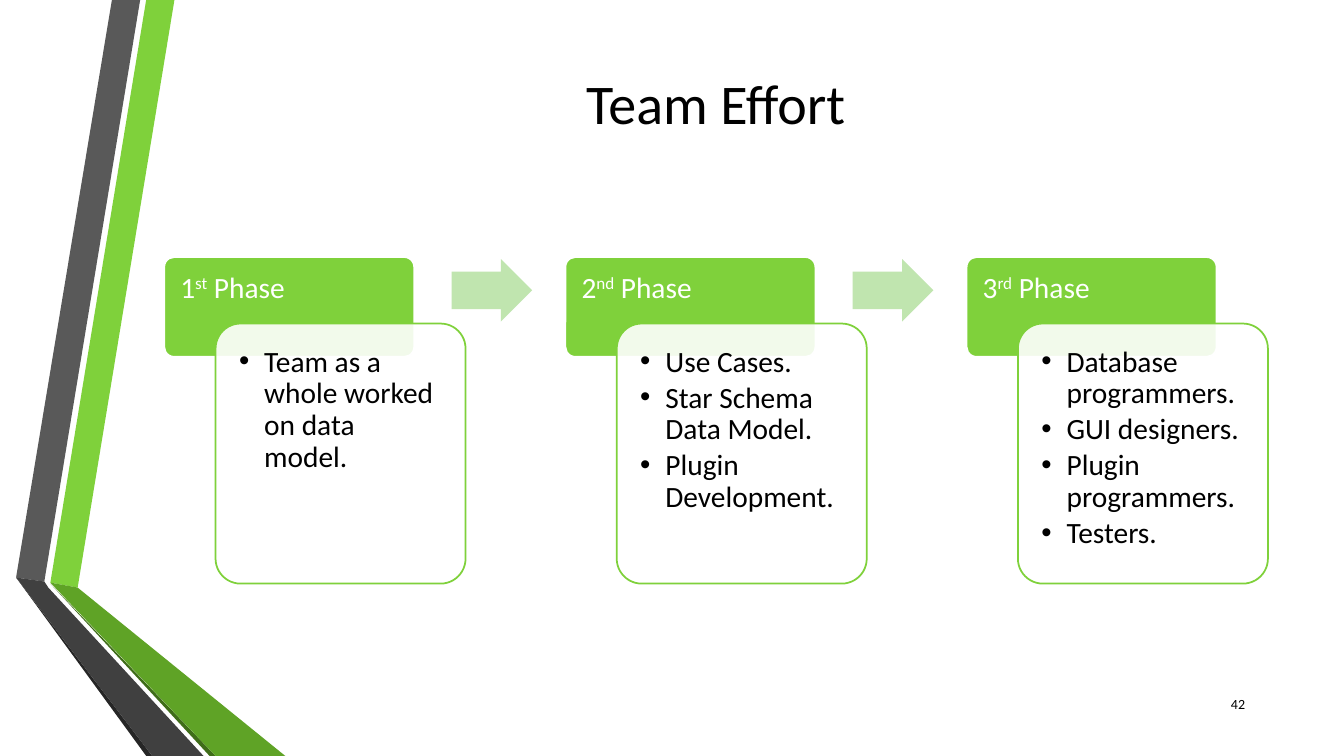
from dataclasses import dataclass

from lxml import etree
from pptx import Presentation
from pptx import util as u
from pptx.dml.color import RGBColor
from pptx.enum import shapes, text
from pptx.oxml import ns

WIDTH, HEIGHT = u.Inches(13.333), u.Inches(7.5)
FONT = "Calibri"
GREEN, PALE_GREEN, WHITE, BLACK = "7FD13B", "C0E5AF", "FFFFFF", "000000"
FIRST_PHASE, PHASE_STEP = 12.22, 29.85
PHASE_WIDTH = 18.6


@dataclass(frozen=True)
class Area:
    """A rectangle in percent of the slide's width and height."""
    left: float
    top: float
    width: float
    height: float

    def emu(self) -> tuple[int, int, int, int]:
        return (across(self.left), down(self.top),
                across(self.width), down(self.height))


@dataclass(frozen=True)
class Ribbon:
    colour: str
    points: tuple[tuple[float, float], ...]


@dataclass(frozen=True)
class Phase:
    number: str
    ordinal: str
    tasks: tuple[str, ...]


RIBBONS = (
    Ribbon(GREEN, ((3.75, 77.07), (5.78, 77.73), (12.98, 0), (10.88, 0))),
    Ribbon("595959", ((10.43, 0), (8.33, 0), (1.2, 76.4), (3.3, 76.93))),
    Ribbon("262626", ((1.2, 76.4), (10.88, 100), (11.33, 100))),
    Ribbon("3F6D19", ((3.75, 77.2), (15.6, 100), (16.05, 100))),
    Ribbon("5FA326", ((3.75, 77.07), (16.05, 100), (21.23, 100), (5.78, 77.73))),
    Ribbon("404040", ((15.15, 100), (3.6, 77.73), (3.3, 76.93), (1.2, 76.4),
                      (11.33, 100))),
)

PHASES = (
    Phase("1", "st", ("Team as a whole worked on data model.",)),
    Phase("2", "nd", ("Use Cases.", "Star Schema Data Model.",
                      "Plugin Development.")),
    Phase("3", "rd", ("Database programmers.", "GUI designers.",
                      "Plugin programmers.", "Testers.")),
)


def across(percent: float) -> int:
    return round(WIDTH * percent / 100)


def down(percent: float) -> int:
    return round(HEIGHT * percent / 100)


def colour(value: str) -> RGBColor:
    return RGBColor.from_string(value)


def paint(shape, fill: str, line: str | None = None) -> None:
    shape.shadow.inherit = False
    shape.fill.solid()
    shape.fill.fore_color.rgb = colour(fill)
    if line:
        shape.line.color.rgb = colour(line)
        shape.line.width = u.Pt(1.25)
    else:
        shape.line.fill.background()


def style_para(para, size: float, ink: str) -> None:
    for span in para.runs:
        span.font.name = FONT
        span.font.size = u.Pt(size)
        span.font.color.rgb = colour(ink)


def add_ribbon(page, ribbon: Ribbon) -> None:
    points = [(across(x), down(y)) for x, y in ribbon.points]
    builder = page.shapes.build_freeform(*points[0], scale=1.0)
    builder.add_line_segments(points[1:], close=True)
    paint(builder.convert_to_shape(), ribbon.colour)


def add_preset(page, kind: shapes.MSO_SHAPE, area: Area,
               adjustments: tuple[float, ...], fill: str,
               line: str | None = None):
    shape = page.shapes.add_shape(kind, *area.emu())
    for index, value in enumerate(adjustments):
        shape.adjustments[index] = value
    paint(shape, fill, line)
    return shape


def add_text_box(page, area: Area, inset: float = 0.1, bottom: float = 0.05):
    """Insets are in inches; the top one equals the sides except by default."""
    frame = page.shapes.add_textbox(*area.emu()).text_frame
    frame.word_wrap = True
    frame.margin_left = frame.margin_right = u.Inches(inset)
    frame.margin_top = u.Inches(inset if inset > 0.1 else 0.05)
    frame.margin_bottom = u.Inches(bottom)
    return frame


def make_translucent(shape, opacity: int) -> None:
    fill = shape.fill._xPr.find(ns.qn("a:solidFill"))
    etree.SubElement(fill[0], ns.qn("a:alpha"), val=str(opacity * 1000))


def add_bullet(para) -> None:
    settings = para._p.get_or_add_pPr()
    settings.set("marL", str(u.Inches(0.25)))
    settings.set("indent", str(-u.Inches(0.25)))
    etree.SubElement(settings, ns.qn("a:buFont"), typeface="Arial")
    etree.SubElement(settings, ns.qn("a:buChar"), char="•")


def add_heading(page, left: float, phase: Phase) -> None:
    add_preset(page, shapes.MSO_SHAPE.ROUNDED_RECTANGLE,
               Area(left, 34, PHASE_WIDTH, 13.2), (0.1,), GREEN, WHITE)
    frame = add_text_box(page, Area(left, 34, PHASE_WIDTH, 8.8), 0.16, 0.09)
    para = frame.paragraphs[0]
    para.line_spacing = 0.9
    para.space_after = u.Pt(7)
    for words in (phase.number, phase.ordinal, " Phase"):
        para.add_run().text = words
    style_para(para, 21, WHITE)
    para.runs[1]._r.get_or_add_rPr().set("baseline", "30000")


def add_card(page, left: float, phase: Phase) -> None:
    card = add_preset(page, shapes.MSO_SHAPE.ROUNDED_RECTANGLE,
                      Area(left, 42.8, PHASE_WIDTH, 34.4), (0.1,), WHITE, GREEN)
    make_translucent(card, 90)
    frame = add_text_box(page, Area(left + 0.55, 43.73, 17.48, 32.4), 0.16, 0.16)
    frame.text = "\n".join(phase.tasks)
    for para in frame.paragraphs:
        para.line_spacing = 0.9
        para.space_after = u.Pt(3)
        add_bullet(para)
        style_para(para, 21, BLACK)


def add_title(page) -> None:
    title = page.shapes.title
    title.left, title.top, title.width, title.height = Area(
        12.15, 7.33, 82.2, 12.27).emu()
    frame = title.text_frame
    frame.text = "Team Effort"
    frame.vertical_anchor = text.MSO_ANCHOR.MIDDLE
    frame.paragraphs[0].alignment = text.PP_ALIGN.CENTER
    style_para(frame.paragraphs[0], 40, BLACK)


def add_page_number(page) -> None:
    frame = add_text_box(page, Area(88.88, 90.4, 4.5, 5.33))
    frame.text = "42"
    frame.vertical_anchor = text.MSO_ANCHOR.MIDDLE
    frame.paragraphs[0].alignment = text.PP_ALIGN.RIGHT
    style_para(frame.paragraphs[0], 10, BLACK)


def main() -> None:
    deck = Presentation()
    deck.slide_width, deck.slide_height = WIDTH, HEIGHT
    page = deck.slides.add_slide(deck.slide_layouts.get_by_name("Title Only"))
    for ribbon in RIBBONS:
        add_ribbon(page, ribbon)
    add_title(page)
    for index, phase in enumerate(PHASES):
        left = FIRST_PHASE + index * PHASE_STEP
        add_heading(page, left, phase)
        add_card(page, left + 3.82, phase)
        if index < len(PHASES) - 1:
            add_preset(page, shapes.MSO_SHAPE.RIGHT_ARROW,
                       Area(left + 21.38, 34.27, 6, 8.27), (0.6, 0.5), PALE_GREEN)
    add_page_number(page)
    deck.save("out.pptx")


if __name__ == "__main__":
    main()
